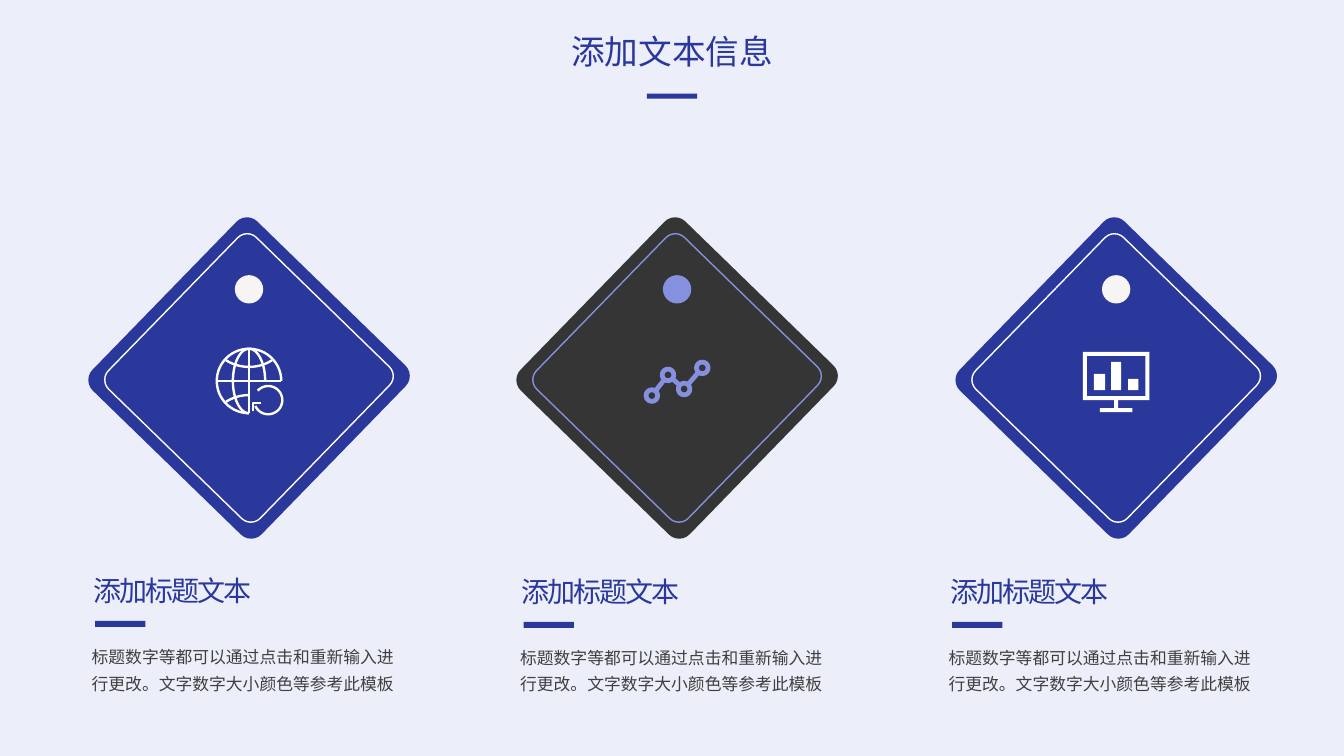
import math

import lxml.etree
import pptx
import pptx.dml.color
import pptx.enum.shapes
import pptx.enum.text
import pptx.oxml.ns
import pptx.util

COLORS = {
    "background": "ECEEFA",
    "navy": "2A389C",
    "charcoal": "353535",
    "lavender": "8590DF",
    "white": "FFFFFF",
    "cream": "F6F5F3",
    "body": "404040",
}
HEADING_FONT = "Noto Sans CJK JP"
BODY_FONT = "Noto Sans CJK SC"
SHAPES = pptx.enum.shapes.MSO_SHAPE

deck = pptx.Presentation()
deck.slide_width = pptx.util.Inches(13.33)
deck.slide_height = pptx.util.Inches(7.5)
COL = deck.slide_width / 100
ROW = deck.slide_height / 100
ICON = pptx.util.Inches(0.01)  # icons sit on a fine square grid

slide = deck.slides.add_slide(deck.slide_layouts[6])
slide.background.fill.solid()
slide.background.fill.fore_color.rgb = pptx.dml.color.RGBColor.from_string(COLORS["background"])


def paint(shape, fill=None, line=None, weight=1):
    """Set fill and outline by colour name; None leaves that part empty."""
    shape.shadow.inherit = False
    for part, color in ((shape.fill, fill), (shape.line.fill, line)):
        if color:
            part.solid()
            part.fore_color.rgb = pptx.dml.color.RGBColor.from_string(COLORS[color])
        else:
            part.background()
    if line:
        shape.line.width = pptx.util.Pt(weight)


def write(text, left, top, width, height, size, font, color, align="LEFT", leading=1.0, tracking=0):
    box = slide.shapes.add_textbox(*(int(length) for length in (left, top, width, height)))
    frame = box.text_frame
    frame.word_wrap = True
    frame.auto_size = pptx.enum.text.MSO_AUTO_SIZE.SHAPE_TO_FIT_TEXT
    paragraph = frame.paragraphs[0]
    paragraph.alignment = getattr(pptx.enum.text.PP_ALIGN, align)
    paragraph.line_spacing = leading
    run = paragraph.add_run()
    run.text = text
    run.font.size = pptx.util.Pt(size)
    run.font.name = font
    run.font.color.rgb = pptx.dml.color.RGBColor.from_string(COLORS[color])
    properties = run.font._element
    east_asian = lxml.etree.SubElement(properties, pptx.oxml.ns.qn("a:ea"))
    east_asian.set("typeface", font)
    if tracking:
        properties.set("spc", str(int(tracking * 100)))


# Icon outlines, measured from the centre of their diamond
globe_lines = [
    [(-32, 3), (32, 3)],
    [(0, -29), (0, 35)],
    [(4, 33), (4, 25), (12, 25)],
]
# centre x, centre y, radius x, radius y, first and last angle
globe_arcs = [
    (0, 3, 32, 32, 90, 360),
    (0, 3, 16, 32, 90, 360),
    (0, -44, 38, 33, 53, 127),
    (0, 50, 38, 33, 233, 270),
    (19, 22, 14, 14, -138, 156),
]
for x, y, radius_x, radius_y, first, last in globe_arcs:
    angles = [math.radians(first + (last - first) * step / 40) for step in range(41)]
    globe_lines.append([(x + radius_x * math.cos(a), y + radius_y * math.sin(a)) for a in angles])

trend_nodes = [(-25, 17.5), (-9, -3), (7, 11), (25, -10)]
node_radius = 5.7
trend_lines = []
for (x1, y1), (x2, y2) in zip(trend_nodes, trend_nodes[1:]):
    gap = node_radius / math.hypot(x2 - x1, y2 - y1)
    dx, dy = (x2 - x1) * gap, (y2 - y1) * gap
    trend_lines.append([(x1 + dx, y1 + dy), (x2 - dx, y2 - dy)])
for x, y in trend_nodes:
    angles = [math.tau * step / 40 for step in range(41)]
    trend_lines.append([(x + node_radius * math.cos(a), y + node_radius * math.sin(a)) for a in angles])

monitor_outlines = [
    [(-33, -26), (33, -26), (33, 22), (2, 22), (2, 30), (16, 30), (16, 34),
     (-16, 34), (-16, 30), (-2, 30), (-2, 22), (-33, 22), (-33, -26)],
]
# left, top, right, bottom of the screen and its three bars
for left, top, right, bottom in [(-29, -22, 29, 18), (-22, -4, -11, 12), (-5, -16, 5, 12), (12, 1, 22, 12)]:
    monitor_outlines.append([(left, top), (right, top), (right, bottom), (left, bottom), (left, top)])

# Title
write("添加文本信息", 41.15 * COL, 3.47 * ROW, 17.7 * COL, 6.67 * ROW,
      size=24, font=HEADING_FONT, color="navy", align="CENTER")
title_bar = slide.shapes.add_shape(
    SHAPES.RECTANGLE, int(48.13 * COL), int(12.4 * ROW), int(3.75 * COL), int(0.67 * ROW))
paint(title_bar, fill="navy")

# Diamonds: centre column, face, rim, dot, icon contours, icon paint
diamonds = [
    (18.53, "navy", "white", "cream", globe_lines, {"line": "white", "weight": 1.7}),
    (50.38, "charcoal", "lavender", "lavender", trend_lines, {"line": "lavender", "weight": 3.4}),
    (83.05, "navy", "white", "cream", monitor_outlines, {"fill": "white"}),
]
center_y = 50 * ROW
for center_col, face, rim, dot_color, contours, icon_paint in diamonds:
    center_x = center_col * COL
    for side_rows, edge in ((31.2, None), (28, rim)):
        side = side_rows * ROW
        diamond = slide.shapes.add_shape(
            SHAPES.ROUNDED_RECTANGLE, int(center_x - side / 2), int(center_y - side / 2), int(side), int(side))
        diamond.adjustments[0] = 0.062
        diamond.rotation = 44.2
        paint(diamond, fill=face, line=edge)

    dot_size = 3.75 * ROW
    dot = slide.shapes.add_shape(
        SHAPES.OVAL, int(center_x - dot_size / 2), int(36.4 * ROW), int(dot_size), int(dot_size))
    paint(dot, fill=dot_color)

    outline = None
    for contour in contours:
        points = [(center_x + x * ICON, center_y + y * ICON) for x, y in contour]
        if outline is None:
            outline = slide.shapes.build_freeform(*points[0])
        else:
            outline.move_to(*points[0])
        outline.add_line_segments(points[1:], close=contour[0] == contour[-1])
    paint(outline.convert_to_shape(), **icon_paint)

# Captions on three equal columns; the first stands slightly higher
for column in range(3):
    left = (6.08 + 31.88 * column) * COL
    lift = 0.13 * ROW if column == 0 else 0
    write("标题数字等都可以通过点击和重新输入进行更改。文字数字大小颜色等参考此模板",
          left, 84.27 * ROW - lift, 24.83 * COL, 8 * ROW,
          size=12, font=BODY_FONT, color="body", leading=1.3)
    write("添加标题文本", left + 0.13 * COL, 74.4 * ROW - lift, 17.03 * COL, 6.4 * ROW,
          size=20, font=HEADING_FONT, color="navy", leading=1.2, tracking=-1.5)
    caption_bar = slide.shapes.add_shape(
        SHAPES.RECTANGLE, int(left + COL), int(82.27 * ROW - lift), int(3.75 * COL), int(0.8 * ROW))
    paint(caption_bar, fill="navy")

deck.save("out.pptx")
